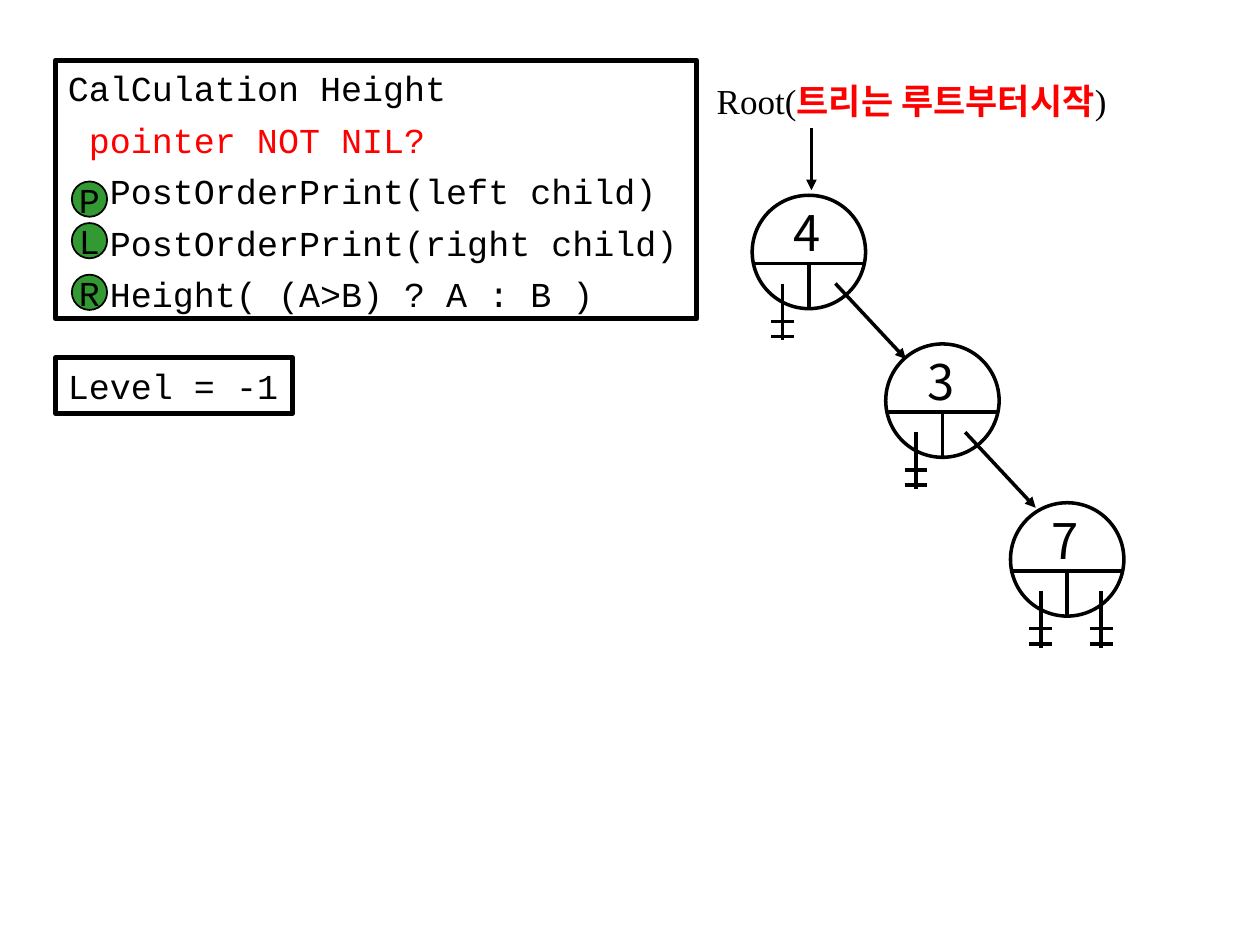
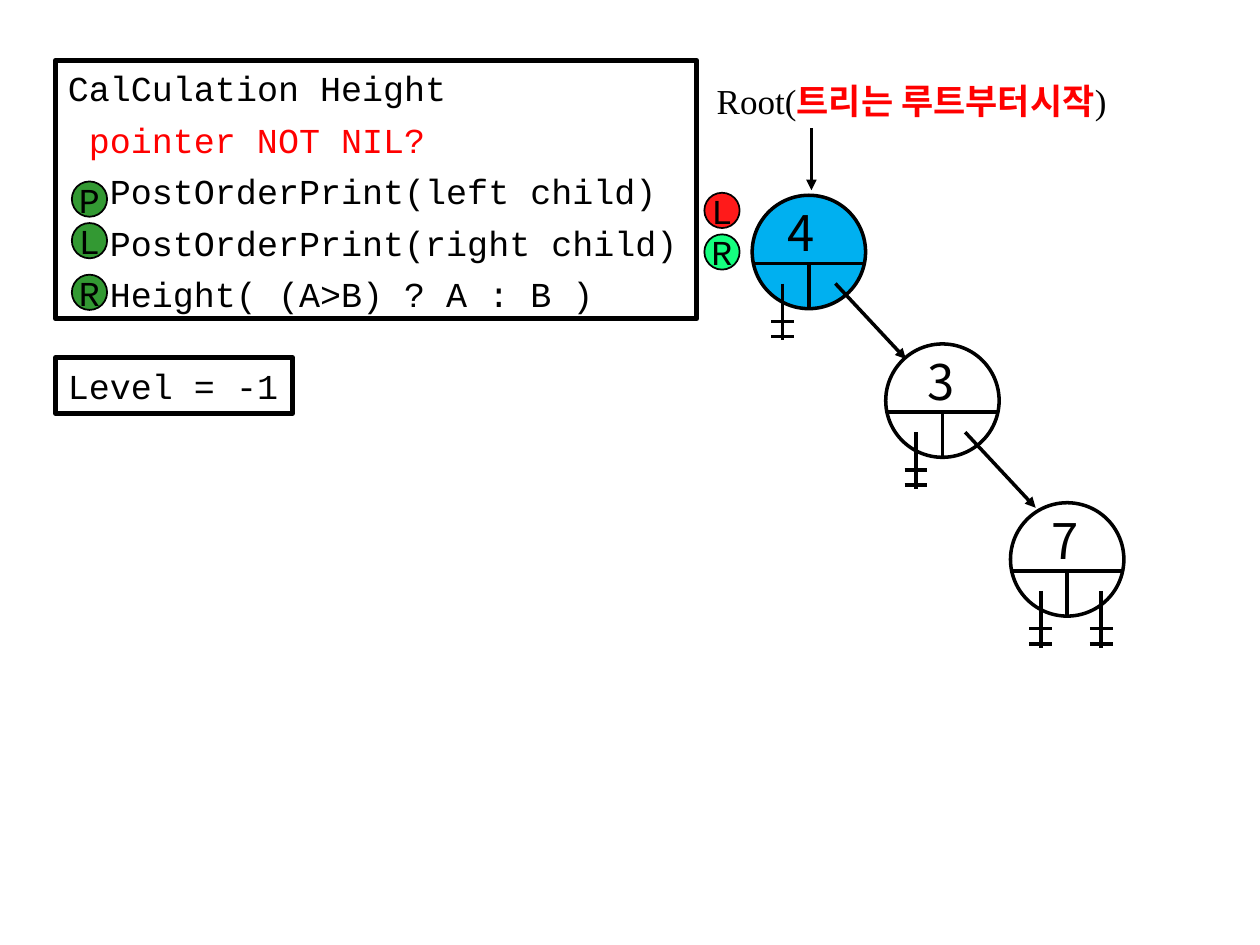
from dataclasses import dataclass

from lxml import etree
from pptx import Presentation
from pptx.dml.color import RGBColor
from pptx.enum.shapes import MSO_CONNECTOR as Connector, MSO_SHAPE as Shape
from pptx.enum.text import MSO_ANCHOR as Anchor, MSO_AUTO_SIZE as AutoSize, PP_ALIGN as Align
from pptx.oxml.ns import qn
from pptx.util import Inches, Pt

# ---- Content ----
# Code lines: indent in characters, text, theme colour
ALGORITHM = [
    (0, "CalCulation Height", "ink"),
    (1, "pointer NOT NIL?", "alert"),
    (2, "PostOrderPrint(left child)", "ink"),
    (2, "PostOrderPrint(right child)", "ink"),
    (2, "Height( (A>B) ? A : B )", "ink"),
]
LEVEL = "Level = -1"
ROOT_LABEL = [("Root(", "ink", False), ("트리는 루트부터시작", "alert", True), (")", "ink", False)]

# Step badges beside the code: letter, top
STEPS = [("P", 1.44), ("L", 1.77), ("R", 2.18)]

# Tree: value, left, top, x offset of the right pointer (None: right child is nil)
TREE = [("4", 5.97, 1.55, 0.66), ("3", 7.03, 2.73, 0.63), ("7", 8.02, 3.99, None)]

# Each slide: the visited node and its badges (letter, top, theme colour)
TRAVERSAL = [
    {"visited": None, "badges": []},
    {"visited": "4", "badges": [("L", 1.53, "left_call"), ("R", 1.86, "right_call")]},
]


# ---- Theme ----
@dataclass(frozen=True)
class Theme:
    ink: str = "000000"
    alert: str = "FF0000"
    step: str = "339933"
    visited: str = "00B0F0"
    left_call: str = "FF1A1A"
    right_call: str = "15FF7F"
    code_font: str = "Courier New"
    label_font: str = "Times New Roman"
    value_font: str = "Noto Sans CJK KR"
    text_size: float = 20
    value_size: float = 28
    line_gap: float = 5.4
    badge_line: float = 1
    tree_line: float = 2
    frame_line: float = 3


THEME = Theme()

# ---- Layout, in inches ----
SLIDE_SIZE = (10, 7.5)
CODE_BOX = (0.44, 0.48, 5.09, 2.05)
LEVEL_BOX = (0.44, 2.84, 1.88, 0.44)
ROOT_BOX = (5.59, 0.58, 3.53, 0.44)
ROOT_ARROW = ((6.44, 1.02), (6.44, 1.51))
STEP_LEFT, CALL_LEFT = 0.57, 5.59
BADGE = 0.28
CHAR_WIDTH = 0.6 * THEME.text_size      # points, fixed-pitch font
NODE = 0.9
SPLIT = 0.6 * NODE                      # height of the node's value part
VALUE_SIZE = (0.43, 0.57)
VALUE_LEFT, VISITED_VALUE_LEFT = 0.23, 0.18
POINTER_TOP = 0.7
POINTER_SPAN = (0.56, 0.6)
NIL_LEFT, NIL_RIGHT = 0.24, 0.72
NIL_LENGTH, NIL_HALF = 0.45, 0.09
NIL_BARS = (0.3, 0.42)


def colour(name):
    return RGBColor.from_string(getattr(THEME, name))


# ---- Drawing helpers ----
def add_run(paragraph, text, font, size, ink="ink", bold=False):
    run = paragraph.add_run()
    run.text = text
    run.font.name, run.font.size, run.font.bold = font, Pt(size), bold
    run.font.color.rgb = colour(ink)


def set_frame(shape, grow=True):
    frame = shape.text_frame
    frame.word_wrap = False
    frame.auto_size = AutoSize.SHAPE_TO_FIT_TEXT if grow else AutoSize.NONE
    frame.vertical_anchor = Anchor.TOP if grow else Anchor.MIDDLE
    paragraph = frame.paragraphs[0]
    paragraph.alignment = Align.LEFT if grow else Align.CENTER
    return frame


def add_outline(shapes, kind, box, width, fill=None):
    shape = shapes.add_shape(kind, *map(Inches, box))
    shape.shadow.inherit = False
    shape.line.color.rgb, shape.line.width = colour("ink"), Pt(width)
    if fill:
        shape.fill.solid()
        shape.fill.fore_color.rgb = colour(fill)
    else:
        shape.fill.background()
    return shape


def add_line(shapes, start, end, arrow=False):
    line = shapes.add_connector(Connector.STRAIGHT, *map(Inches, (*start, *end)))
    line.line.color.rgb, line.line.width = colour("ink"), Pt(THEME.tree_line)
    if arrow:
        etree.SubElement(line.line._get_or_add_ln(), qn("a:tailEnd"), type="triangle")
    etree.SubElement(line._element.spPr, qn("a:effectLst"))


def add_badge(shapes, letter, left, top, fill):
    badge = add_outline(shapes, Shape.OVAL, (left, top, BADGE, BADGE), THEME.badge_line, fill)
    frame = set_frame(badge, grow=False)
    add_run(frame.paragraphs[0], letter, THEME.code_font, THEME.text_size)


# ---- Tree ----
def add_nil(slide, x, y):
    mark = slide.shapes.add_group_shape().shapes
    add_line(mark, (x, y), (x, y + NIL_LENGTH))
    for bar in NIL_BARS:
        add_line(mark, (x - NIL_HALF, y + bar), (x + NIL_HALF, y + bar))


def add_node(slide, value, left, top, visited):
    node = slide.shapes.add_group_shape().shapes
    add_outline(node, Shape.OVAL, (left, top, NODE, NODE), THEME.tree_line,
                "visited" if visited else None)
    middle, split = left + NODE / 2, top + SPLIT
    add_line(node, (left, split), (left + NODE, split))
    add_line(node, (middle, top + NODE), (middle, split))
    value_left = left + (VISITED_VALUE_LEFT if visited else VALUE_LEFT)
    label = node.add_textbox(*map(Inches, (value_left, top + 0.01, *VALUE_SIZE)))
    add_run(set_frame(label).paragraphs[0], value, THEME.value_font, THEME.value_size)


def add_tree(slide, visited):
    for value, left, top, pointer in TREE:
        add_node(slide, value, left, top, value == visited)
        y = top + POINTER_TOP
        add_nil(slide, left + NIL_LEFT, y)
        if pointer is None:
            add_nil(slide, left + NIL_RIGHT, y)
        else:
            x = left + pointer
            add_line(slide.shapes, (x, y), (x + POINTER_SPAN[0], y + POINTER_SPAN[1]), arrow=True)


# ---- Parts shared by the slides ----
def add_root(slide):
    label = slide.shapes.add_textbox(*map(Inches, ROOT_BOX))
    paragraph = set_frame(label).paragraphs[0]
    for text, ink, bold in ROOT_LABEL:
        add_run(paragraph, text, THEME.label_font, THEME.text_size, ink, bold)
    add_line(slide.shapes, *ROOT_ARROW, arrow=True)


def add_code(slide, box, lines, gap=0):
    frame = set_frame(add_outline(slide.shapes, Shape.RECTANGLE, box, THEME.frame_line))
    for number, (indent, text, ink) in enumerate(lines):
        paragraph = frame.add_paragraph() if number else frame.paragraphs[0]
        paragraph.alignment = Align.LEFT
        paragraph.space_before = Pt(gap)
        paragraph._p.get_or_add_pPr().set("marL", str(Pt(indent * CHAR_WIDTH)))
        add_run(paragraph, text, THEME.code_font, THEME.text_size, ink)


def main():
    deck = Presentation()
    deck.slide_width, deck.slide_height = map(Inches, SLIDE_SIZE)
    blank = deck.slide_layouts[6]
    for state in TRAVERSAL:
        slide = deck.slides.add_slide(blank)
        add_root(slide)
        add_code(slide, CODE_BOX, ALGORITHM, THEME.line_gap)
        add_code(slide, LEVEL_BOX, [(0, LEVEL, "ink")])
        for letter, top in STEPS:
            add_badge(slide.shapes, letter, STEP_LEFT, top, "step")
        add_tree(slide, state["visited"])
        for letter, top, fill in state["badges"]:
            add_badge(slide.shapes, letter, CALL_LEFT, top, fill)
    deck.save("out.pptx")


if __name__ == "__main__":
    main()
